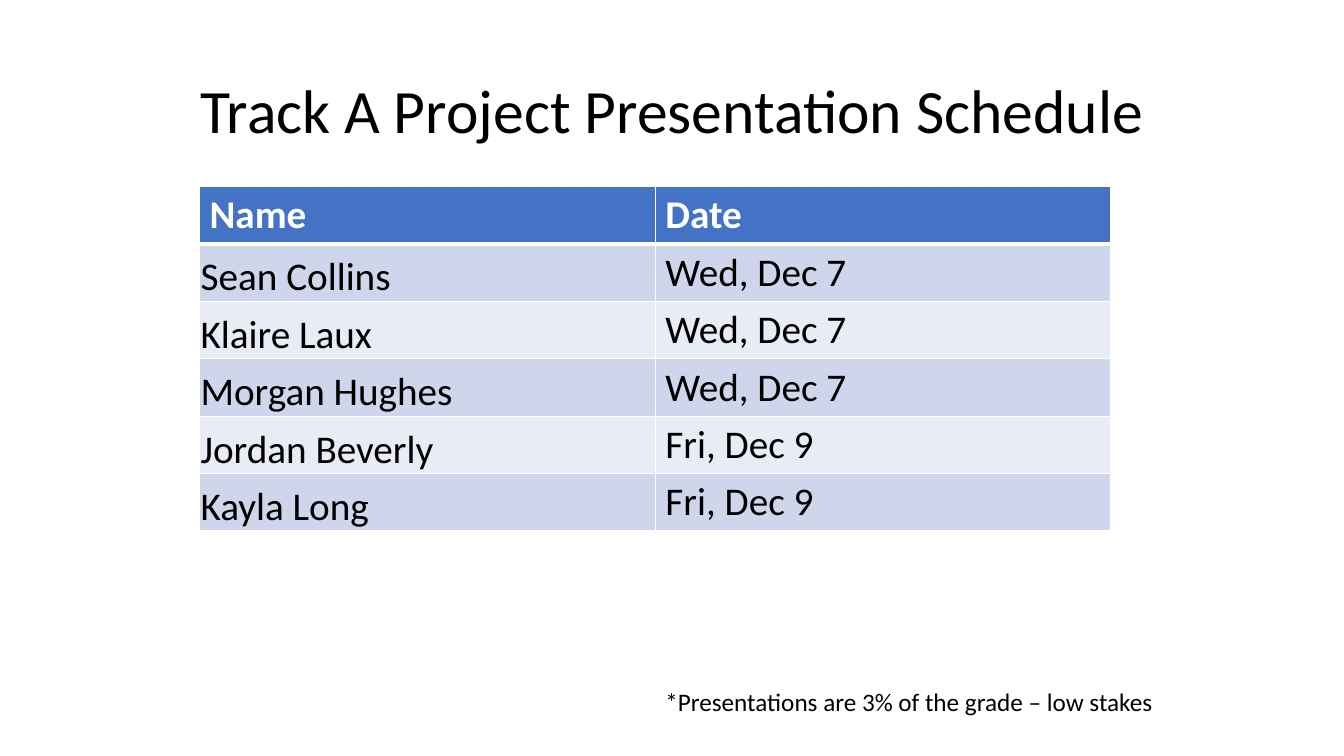
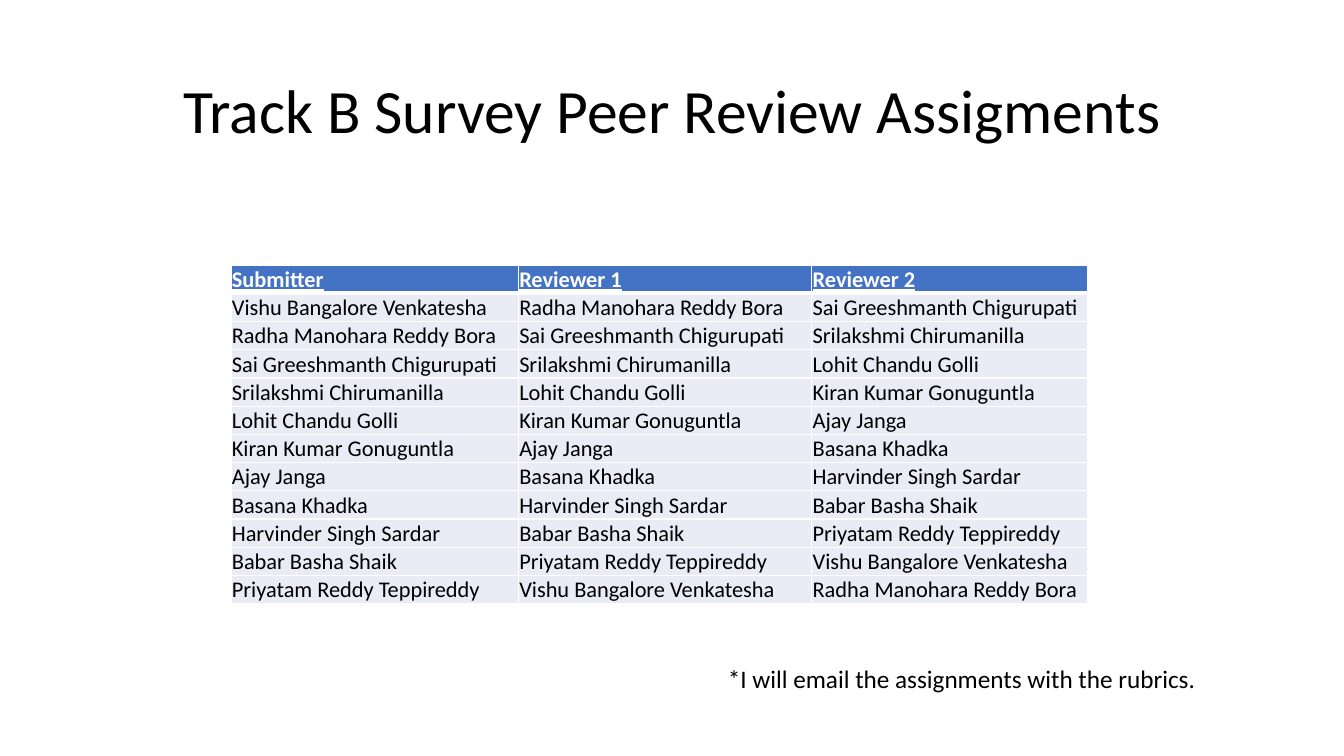
from lxml.etree import SubElement
from pptx import Presentation
from pptx.dml.color import RGBColor
from pptx.enum.text import MSO_ANCHOR as Anchor, MSO_AUTO_SIZE as AutoSize, PP_ALIGN as Align
from pptx.oxml.ns import qn
from pptx.util import Inches, Pt

FONT = "Calibri"
BLACK, WHITE = "000000", "FFFFFF"
HEADER_FILL, DARK_BAND, LIGHT_BAND = "4472C4", "CFD5EA", "E9EBF5"


def color(hex_string):
    return RGBColor.from_string(hex_string)


def set_borders(cell, widths):
    """Draw white cell borders; widths maps L, R, T and B to points."""
    properties = cell._tc.get_or_add_tcPr()
    for side in "LRTB":
        line = SubElement(properties, qn(f"a:ln{side}"), w=str(Pt(widths[side])))
        fill = SubElement(line, qn("a:solidFill"))
        SubElement(fill, qn("a:srgbClr"), val=WHITE)


class Deck:
    def __init__(self):
        self.presentation = Presentation()
        self.presentation.slide_width = Inches(13.33)
        self.presentation.slide_height = Inches(7.5)
        self.slide = None

    def add_slide(self, title):
        layout = self.presentation.slide_layouts[6]
        self.slide = self.presentation.slides.add_slide(layout)
        text_frame = self.add_text(title, 0.92, 0.4, 11.5, 1.45, size=44)
        text_frame.word_wrap = True
        text_frame.vertical_anchor = Anchor.MIDDLE
        paragraph = text_frame.paragraphs[0]
        paragraph.alignment = Align.CENTER
        paragraph.line_spacing = 0.9

    def style_text(self, text_frame, size, text_color=BLACK, bold=False, underline=False):
        for paragraph in text_frame.paragraphs:
            for run in paragraph.runs:
                font = run.font
                font.name, font.size = FONT, Pt(size)
                font.bold, font.underline = bold, underline
                font.color.rgb = color(text_color)

    def add_text(self, text, left, top, width, height, size):
        box = self.slide.shapes.add_textbox(
            Inches(left), Inches(top), Inches(width), Inches(height))
        box.text_frame.text = text
        self.style_text(box.text_frame, size)
        return box.text_frame

    def add_note(self, text, left, top, width):
        text_frame = self.add_text(text, left, top, width, 0.4, size=18)
        text_frame.word_wrap = False
        text_frame.auto_size = AutoSize.SHAPE_TO_FIT_TEXT

    def add_table(self, rows, left, top, column_widths, row_height, size,
                  bands, is_tight, underline_header=False):
        """Add a table; is_tight(row, column) picks bottom-set cells without padding."""
        frame = self.slide.shapes.add_table(
            len(rows), len(column_widths), Inches(left), Inches(top),
            Inches(sum(column_widths)), Inches(row_height * len(rows)))
        table = frame.table
        table.horz_banding = False
        for column, width in zip(table.columns, column_widths):
            column.width = Inches(width)
        for row_index, values in enumerate(rows):
            table.rows[row_index].height = Inches(row_height)
            is_header = row_index == 0
            cell_fill = HEADER_FILL if is_header else bands[(row_index - 1) % len(bands)]
            borders = {"L": 1, "R": 1, "T": 3 if row_index == 1 else 1,
                       "B": 3 if is_header else 1}
            for column_index, value in enumerate(values):
                cell = table.cell(row_index, column_index)
                cell.text_frame.text = value
                self.style_text(cell.text_frame, size, WHITE if is_header else BLACK,
                                is_header, is_header and underline_header)
                if is_tight(row_index, column_index):
                    cell.vertical_anchor = Anchor.BOTTOM
                    cell.margin_left = cell.margin_right = cell.margin_top = Inches(0.01)
                    cell.margin_bottom = 0
                set_borders(cell, borders)
                cell.fill.solid()
                cell.fill.fore_color.rgb = color(cell_fill)


def add_schedule(deck):
    deck.add_slide("Track A Project Presentation Schedule")
    rows = [
        ("Name", "Date"),
        ("Sean Collins", "Wed, Dec 7"),
        ("Klaire Laux", "Wed, Dec 7"),
        ("Morgan Hughes", "Wed, Dec 7"),
        ("Jordan Beverly", "Fri, Dec 9"),
        ("Kayla Long", "Fri, Dec 9"),
    ]
    deck.add_table(rows, 1.98, 1.85, [4.52, 4.52], 0.57, size=28,
                   bands=[DARK_BAND, LIGHT_BAND],
                   is_tight=lambda row, column: row > 0 and column == 0)
    deck.add_note("*Presentations are 3% of the grade – low stakes", 6.5, 6.76, 5.09)


def add_peer_reviews(deck):
    """Each submitter is reviewed by the next two people in the list."""
    deck.add_slide("Track B Survey Peer Review Assigments")
    people = [
        "Vishu Bangalore Venkatesha", "Radha Manohara Reddy Bora",
        "Sai Greeshmanth Chigurupati", "Srilakshmi Chirumanilla",
        "Lohit Chandu Golli", "Kiran Kumar Gonuguntla", "Ajay Janga",
        "Basana Khadka", "Harvinder Singh Sardar", "Babar Basha Shaik",
        "Priyatam Reddy Teppireddy",
    ]
    rows = [("Submitter", "Reviewer 1", "Reviewer 2")]
    for index in range(len(people)):
        rows.append([people[(index + step) % len(people)] for step in range(3)])
    deck.add_table(rows, 2.29, 2.63, [2.85, 2.91, 2.74], 0.28, size=16,
                   bands=[LIGHT_BAND], is_tight=lambda row, column: True,
                   underline_header=True)
    deck.add_note("*I will email the assignments with the rubrics.", 7.12, 6.53, 4.89)


def main():
    deck = Deck()
    add_schedule(deck)
    add_peer_reviews(deck)
    deck.presentation.save("out.pptx")


if __name__ == "__main__":
    main()
